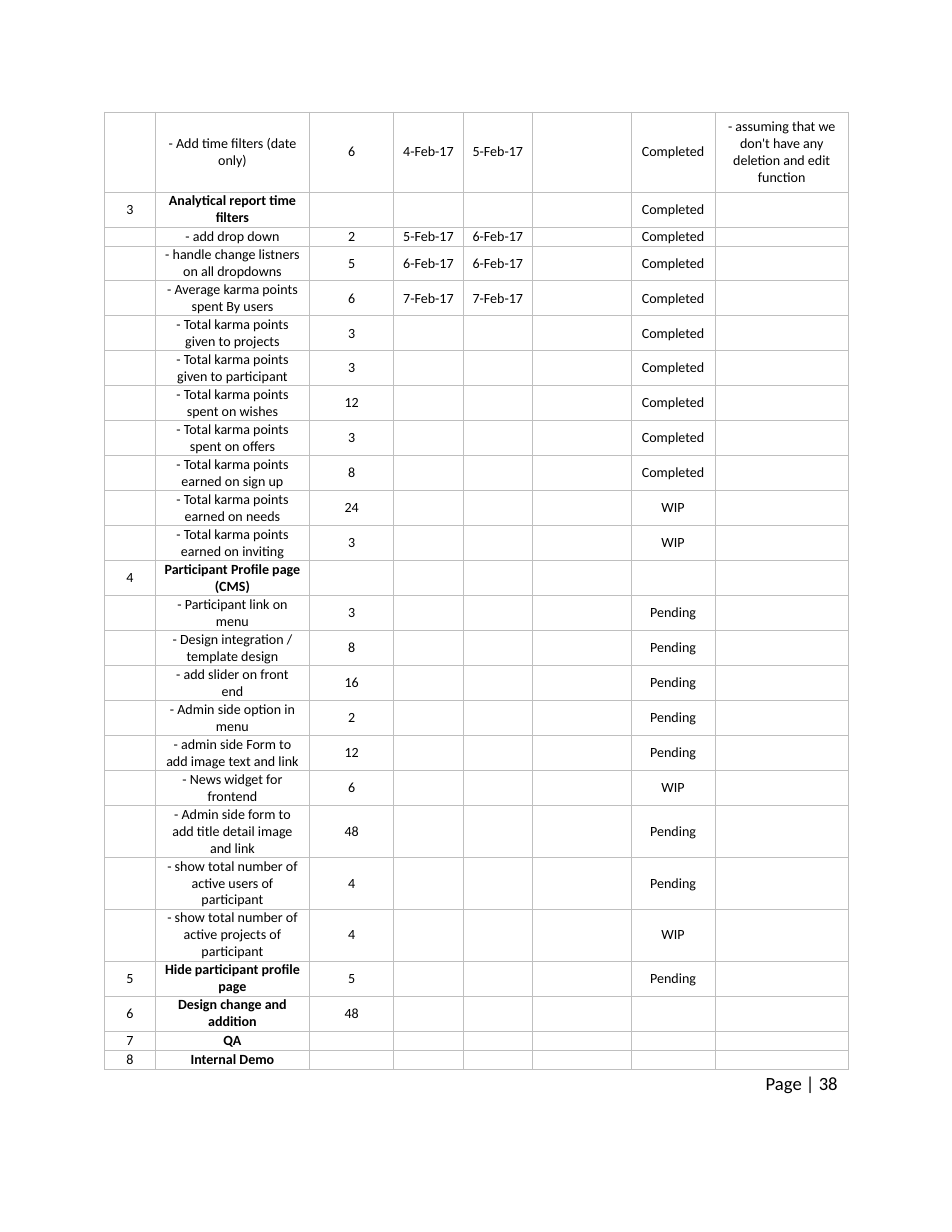
from dataclasses import dataclass
from lxml.etree import SubElement as Sub
from pptx import Presentation
from pptx.dml.color import RGBColor as RGB
from pptx.enum.text import MSO_ANCHOR as Anchor, PP_ALIGN as Align
from pptx.oxml.ns import qn
from pptx.util import Inches, Pt

BLACK = RGB(0, 0, 0)
GREY = RGB(0xBF, 0xBF, 0xBF)
COLS = (0.45, 1.38, 0.75, 0.62, 0.62, 0.88, 0.75, 1.19)
HIGH = {1: 12.2, 2: 22.5, 3: 33.4, 4: 51.4}
DONE, WIP, WAIT = "Completed", "WIP", "Pending"

# lines, number, task, hours, status, start, end, note
TASKS = (
    (4, "", "- Add time filters (date only)", "6", DONE, "4-Feb-17", "5-Feb-17",
     "- assuming that we don't have any deletion and edit function"),
    (2, "3", "Analytical report time\nfilters", "", DONE),
    (1, "", "- add drop down", "2", DONE, "5-Feb-17", "6-Feb-17"),
    (2, "", "- handle change listners on all dropdowns", "5", DONE, "6-Feb-17", "6-Feb-17"),
    (2, "", "- Average karma points\nspent By users", "6", DONE, "7-Feb-17", "7-Feb-17"),
    (2, "", "- Total karma points\ngiven to projects", "3", DONE),
    (2, "", "- Total karma points given to participant", "3", DONE),
    (2, "", "- Total karma points spent on wishes", "12", DONE),
    (2, "", "- Total karma points\nspent on offers", "3", DONE),
    (2, "", "- Total karma points\nearned on sign up", "8", DONE),
    (2, "", "- Total karma points earned on needs", "24", WIP),
    (2, "", "- Total karma points\nearned on inviting", "3", WIP),
    (2, "4", "Participant Profile page\n(CMS)", "", ""),
    (2, "", "- Participant link on\nmenu", "3", WAIT),
    (2, "", "- Design integration / template design", "8", WAIT),
    (2, "", "- add slider on front\nend", "16", WAIT),
    (2, "", "- Admin side option in\nmenu", "2", WAIT),
    (2, "", "- admin side Form to\nadd image text and link", "12", WAIT),
    (2, "", "- News widget for frontend", "6", WIP),
    (3, "", "- Admin side form to\nadd title detail image and link", "48", WAIT),
    (3, "", "- show total number of\nactive users of participant", "4", WAIT),
    (3, "", "- show total number of\nactive projects of\nparticipant", "4", WIP),
    (2, "5", "Hide participant profile page", "5", WAIT),
    (2, "6", "Design change and addition", "48", ""),
    (1, "7", "QA", "", ""),
    (1, "8", "Internal Demo", "", ""),
)


@dataclass
class Page:
    slide: object
    wide: int
    high: int
    face: str = "Calibri"
    size: float = 9
    lead: float = 10.9

    def style(self, para, size, align, bold=False):
        para.alignment = align
        font = para.font
        font.name, font.size, font.bold = self.face, Pt(size), bold
        font.color.rgb = BLACK

    def text(self, x, y, w, h, words, size):
        box = self.slide.shapes.add_textbox(
            *(int(v) for v in (x * self.wide, y * self.high, w * self.wide, h * self.high)))
        frame = box.text_frame
        frame.margin_left = frame.margin_right = 0
        frame.margin_top = frame.margin_bottom = 0
        frame.word_wrap = True
        frame.text = words
        self.style(frame.paragraphs[0], size, Align.RIGHT)

    def edge(self, cell):
        props = cell._tc.get_or_add_tcPr()
        for side in ("lnL", "lnR", "lnT", "lnB"):
            line = Sub(props, qn(f"a:{side}"), w=str(Pt(0.5)))
            Sub(Sub(line, qn("a:solidFill")), qn("a:srgbClr"), val=str(GREY))
        cell.fill.background()

    def cell(self, cell, words, bold):
        self.edge(cell)
        cell.margin_left = cell.margin_right = Inches(0.05)
        cell.margin_top = cell.margin_bottom = 0
        cell.vertical_anchor = Anchor.MIDDLE
        cell.text = words
        for para in cell.text_frame.paragraphs:
            self.style(para, self.size, Align.CENTER, bold)
            para.line_spacing = Pt(self.lead)
            if not words:
                Sub(para._p, qn("a:endParaRPr"), sz=str(int(self.size * 100)))

    def table(self, x, y, tasks):
        tall = [Pt(HIGH[task[0]]) for task in tasks]
        grid = self.slide.shapes.add_table(
            len(tasks), len(COLS), int(x * self.wide), int(y * self.high),
            Inches(sum(COLS)), sum(tall)).table
        grid.first_row = grid.horz_banding = False
        for col, width in zip(grid.columns, COLS):
            col.width = Inches(width)
        for row, high, task in zip(grid.rows, tall, tasks):
            row.height = high
            num, name, hours, state, *rest = task[1:]
            start, end, note = (rest + [""] * 3)[:3]
            words = (num, name, hours, start, end, "", state, note)
            for i, (cell, word) in enumerate(zip(row.cells, words)):
                self.cell(cell, word, i == 1 and num != "")


def main():
    deck = Presentation()
    deck.slide_width, deck.slide_height = Inches(8.5), Inches(11)
    slide = deck.slides.add_slide(deck.slide_layouts[6])
    page = Page(slide, deck.slide_width, deck.slide_height)
    page.table(0.11, 1 / 11, TASKS)
    page.text(0.78, 0.87, 0.1, 0.02, "Page | 38", 12)
    deck.save("out.pptx")


if __name__ == "__main__":
    main()
